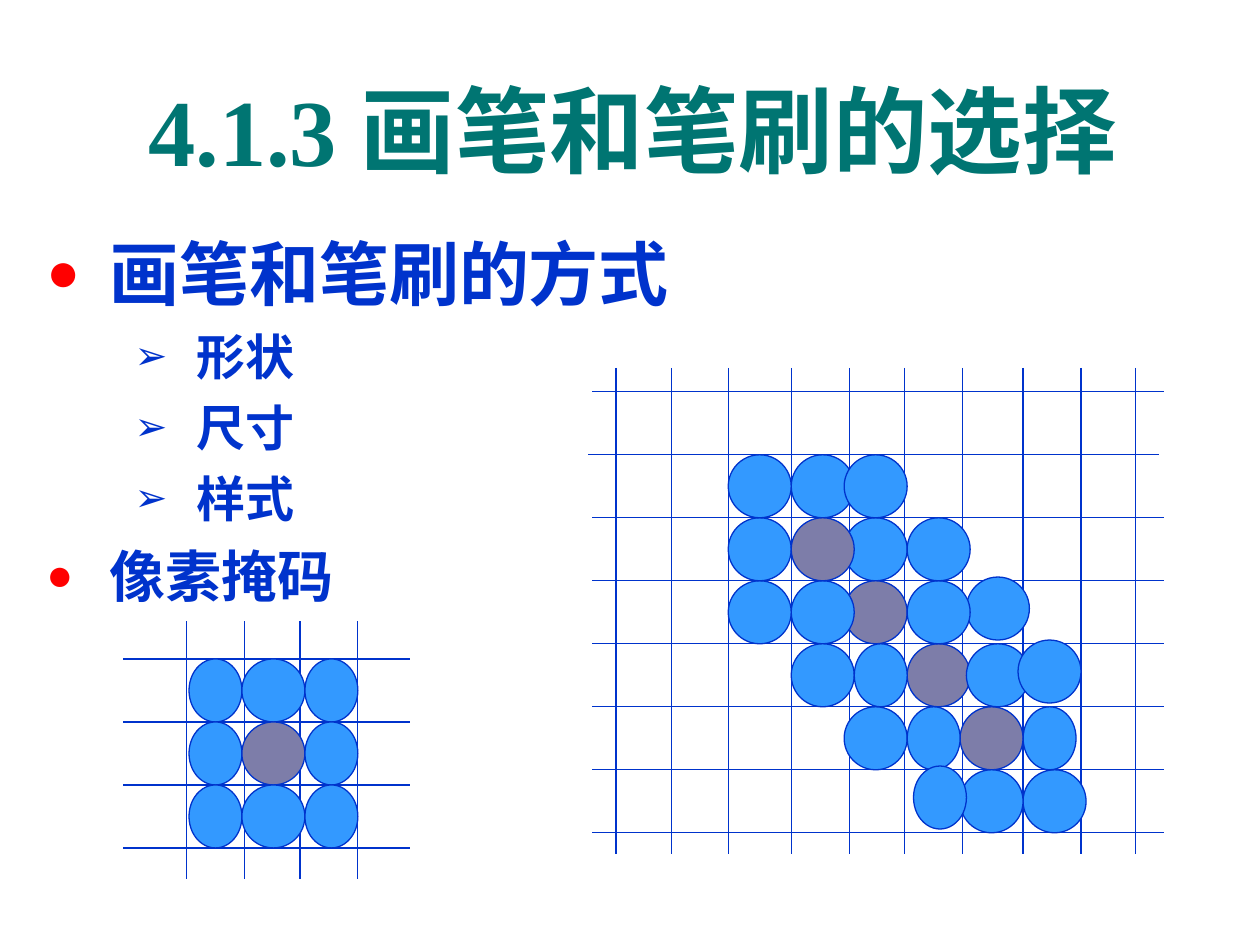
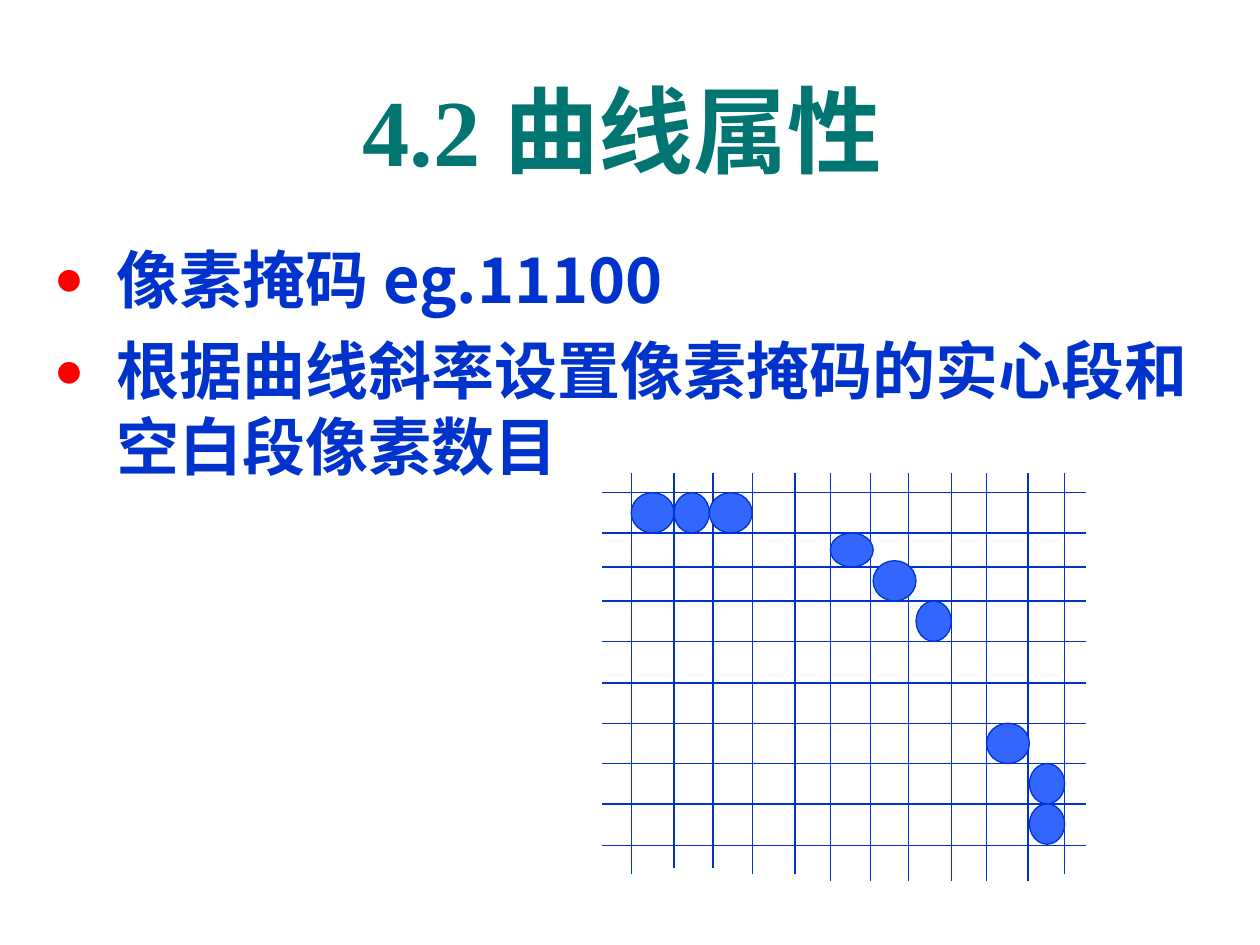
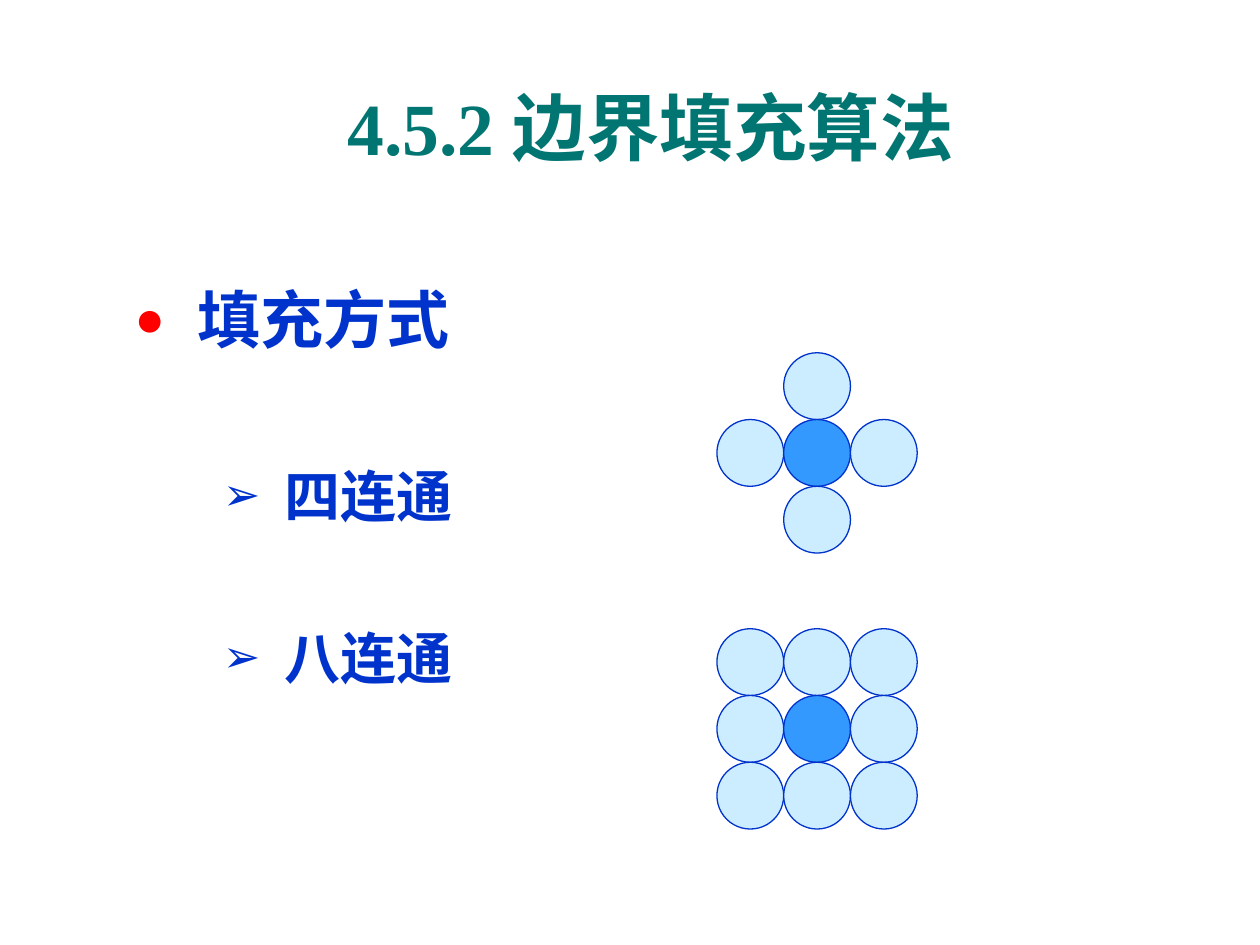
from lxml import etree
from pptx import Presentation
from pptx.dml.color import RGBColor
from pptx.enum.shapes import MSO_CONNECTOR, MSO_SHAPE
from pptx.enum.text import MSO_ANCHOR, PP_ALIGN
from pptx.oxml.ns import qn
from pptx.util import Inches, Pt

TEAL = RGBColor(0x00, 0x75, 0x72)
NAVY = RGBColor(0x00, 0x33, 0xCC)
RED = RGBColor(0xFF, 0x00, 0x00)
SKY = RGBColor(0x33, 0x99, 0xFF)
GREY = RGBColor(0x7D, 0x7D, 0xA9)
BLUE = RGBColor(0x33, 0x66, 0xFF)
PALE = RGBColor(0xCC, 0xEC, 0xFF)
CJK = "Noto Sans CJK SC"
STRAIGHT, OVAL = MSO_CONNECTOR.STRAIGHT, MSO_SHAPE.OVAL

# level: bullet, its colour, left margin, first-line indent
LEVELS = [("●", RED, 0.5, -0.5), ("➢", NAVY, 1.19, -0.49)]


def new_slide(title, title_box, title_size, body_box, font, items):
    """Add a slide with a title and bullets given as (level, text, size, space before)."""
    s = prs.slides.add_slide(prs.slide_layouts[6])
    tf = s.shapes.add_textbox(*map(Inches, title_box)).text_frame
    tf.word_wrap = True
    tf.vertical_anchor = MSO_ANCHOR.MIDDLE
    tf.text = title
    tf.paragraphs[0].alignment = PP_ALIGN.CENTER
    styled = [(tf.paragraphs[0], title_size, "Times New Roman", TEAL)]

    tf = s.shapes.add_textbox(*map(Inches, body_box)).text_frame
    tf.word_wrap = True
    for i, (level, text, size, before) in enumerate(items):
        p = tf.add_paragraph() if i else tf.paragraphs[0]
        p.text = text
        p.level = level
        p.space_before = Pt(before)
        char, color, margin, indent = LEVELS[level]
        pPr = p._p.get_or_add_pPr()
        pPr.set("marL", str(Inches(margin)))
        pPr.set("indent", str(Inches(indent)))
        clr = etree.SubElement(pPr, qn("a:buClr"))
        etree.SubElement(clr, qn("a:srgbClr"), val=str(color))
        etree.SubElement(pPr, qn("a:buSzPct"), val="80000")
        etree.SubElement(pPr, qn("a:buFont"), typeface="Arial")
        etree.SubElement(pPr, qn("a:buChar"), char=char)
        styled.append((p, size, font, NAVY))

    for p, size, name, color in styled:
        r = p.runs[0]
        r.font.size = Pt(size)
        r.font.bold = True
        r.font.color.rgb = color
        r.font.name = name
        etree.SubElement(r._r.get_or_add_rPr(), qn("a:ea"), typeface=CJK)
    return s


def draw_pixels(s, lines, dots):
    """Group lines (x1, y1, x2, y2) under dots (x, y, width, height, colour)."""
    group = s.shapes.add_group_shape()
    for ends in lines:
        c = group.shapes.add_connector(STRAIGHT, *map(Inches, ends))
        c.line.color.rgb = NAVY
        c.line.width = Pt(0.75)
        etree.SubElement(c._element.spPr, qn("a:effectLst"))
    for *box, color in dots:
        sp = group.shapes.add_shape(OVAL, *map(Inches, box))
        sp.shadow.inherit = False
        sp.fill.solid()
        sp.fill.fore_color.rgb = color
        sp.line.color.rgb = NAVY
        sp.line.width = Pt(0.75)


prs = Presentation()
prs.slide_width, prs.slide_height = Inches(10), Inches(7.5)

# Slide 1: pen and brush selection
s = new_slide("4.1.3 画笔和笔刷的选择", (0.35, 0.52, 9.34, 1), 54,
              (0.27, 1.78, 9.34, 3.1), "Arial",
              [(0, "画笔和笔刷的方式", 40, 0), (1, "形状", 28, 7), (1, "尺寸", 28, 7),
               (1, "样式", 28, 7), (0, "像素掩码", 32, 8)])

rows = [5.23 + 0.5 * i for i in range(4)]
lines = [(0.98, y, 3.25, y) for y in rows]
lines += [(x, 4.93, x, 6.98) for x in (1.48, 1.94, 2.38, 2.84)]
mask = [(x, y, w, 0.5, GREY if (i, j) == (1, 1) else SKY)
        for i, y in enumerate(rows[:3])
        for j, (x, w) in enumerate([(1.5, 0.42), (1.92, 0.5), (2.42, 0.42)])]
draw_pixels(s, lines, mask)

columns = (4.89, 5.33, 5.78, 6.28, 6.74, 7.18, 7.64, 8.12, 8.58, 9.01)
lines = [(x, 2.92, x, 6.78) for x in columns]
lines += [(4.7, y, 9.24, y) for y in (3.11 + 0.5 * i for i in range(8) if i != 1)]
lines.append((4.67, 3.61, 9.2, 3.61))
stroke = [
    (6.28, 3.61, 0.5, SKY), (6.7, 4.11, 0.5, SKY), (6.7, 4.61, 0.5, GREY),
    (7.2, 5.11, 0.5, GREY), (7.62, 5.61, 0.5, GREY), (8.12, 6.11, 0.5, SKY),
    (6.28, 4.61, 0.5, SKY), (7.67, 5.11, 0.5, SKY), (6.28, 5.11, 0.5, SKY),
    (6.78, 5.11, 0.42, SKY), (6.7, 5.61, 0.5, SKY), (8.12, 5.61, 0.42, SKY),
    (7.2, 5.61, 0.42, SKY), (7.67, 4.58, 0.5, SKY), (7.62, 6.11, 0.5, SKY),
    (8.08, 5.08, 0.5, SKY), (5.78, 4.61, 0.5, SKY), (7.2, 4.61, 0.5, SKY),
    (5.78, 4.11, 0.5, SKY), (6.28, 4.11, 0.5, GREY), (7.2, 4.11, 0.5, SKY),
    (5.78, 3.61, 0.5, SKY), (6.7, 3.61, 0.5, SKY), (7.25, 6.08, 0.42, SKY),
]
draw_pixels(s, lines, [(x, y, w, 0.5, color) for x, y, w, color in stroke])

# Slide 2: curve attributes
s = new_slide("4.2 曲线属性", (0.27, 0.52, 9.34, 1), 54,
              (0.33, 1.86, 9.34, 2.03), CJK,
              [(0, "像素掩码 eg.11100", 36, 0),
               (0, "根据曲线斜率设置像素掩码的实心段和空白段像素数目", 36, 9)])

columns_by_bottom = {6.89: (5.35, 5.66), 6.94: (5.01, 5.97, 6.31, 8.45),
                     6.99: (6.59, 6.91, 7.21, 7.55, 7.83, 8.16)}
lines = [(x, 3.75, x, bottom) for bottom, xs in columns_by_bottom.items() for x in xs]
lines += [(4.78, y, 8.62, y)
          for y in (3.91, 4.23, 4.5, 4.77, 5.09, 5.42, 5.74, 6.06, 6.38, 6.71)]
curve = [(5.01, 3.91, 0.34, 0.32), (5.35, 3.91, 0.28, 0.32), (5.63, 3.91, 0.34, 0.32),
         (6.59, 4.23, 0.34, 0.27), (6.93, 4.45, 0.34, 0.32), (7.27, 4.77, 0.28, 0.32),
         (7.83, 5.74, 0.34, 0.32), (8.17, 6.06, 0.28, 0.32), (8.17, 6.38, 0.28, 0.32)]
draw_pixels(s, lines, [(*box, BLUE) for box in curve])

# Slide 3: boundary fill, with four and eight connected neighbours
s = new_slide("4.5.2 边界填充算法", (1.93, 0.6, 6.47, 0.8), 42,
              (0.97, 2.18, 3.71, 3.36), "Arial",
              [(0, "填充方式", 36, 0), (1, "四连通", 32, 60), (1, "八连通", 32, 54)])

PITCH = 0.53
steps = [(dx, dy) for dy in (-1, 0, 1) for dx in (-1, 0, 1)]
for center_y, reach in ((3.33, 1), (5.52, 2)):
    draw_pixels(s, [], [(6.22 + dx * PITCH, center_y + dy * PITCH, PITCH, PITCH,
                         PALE if dx or dy else SKY)
                        for dx, dy in steps if abs(dx) + abs(dy) <= reach])

prs.save("out.pptx")
